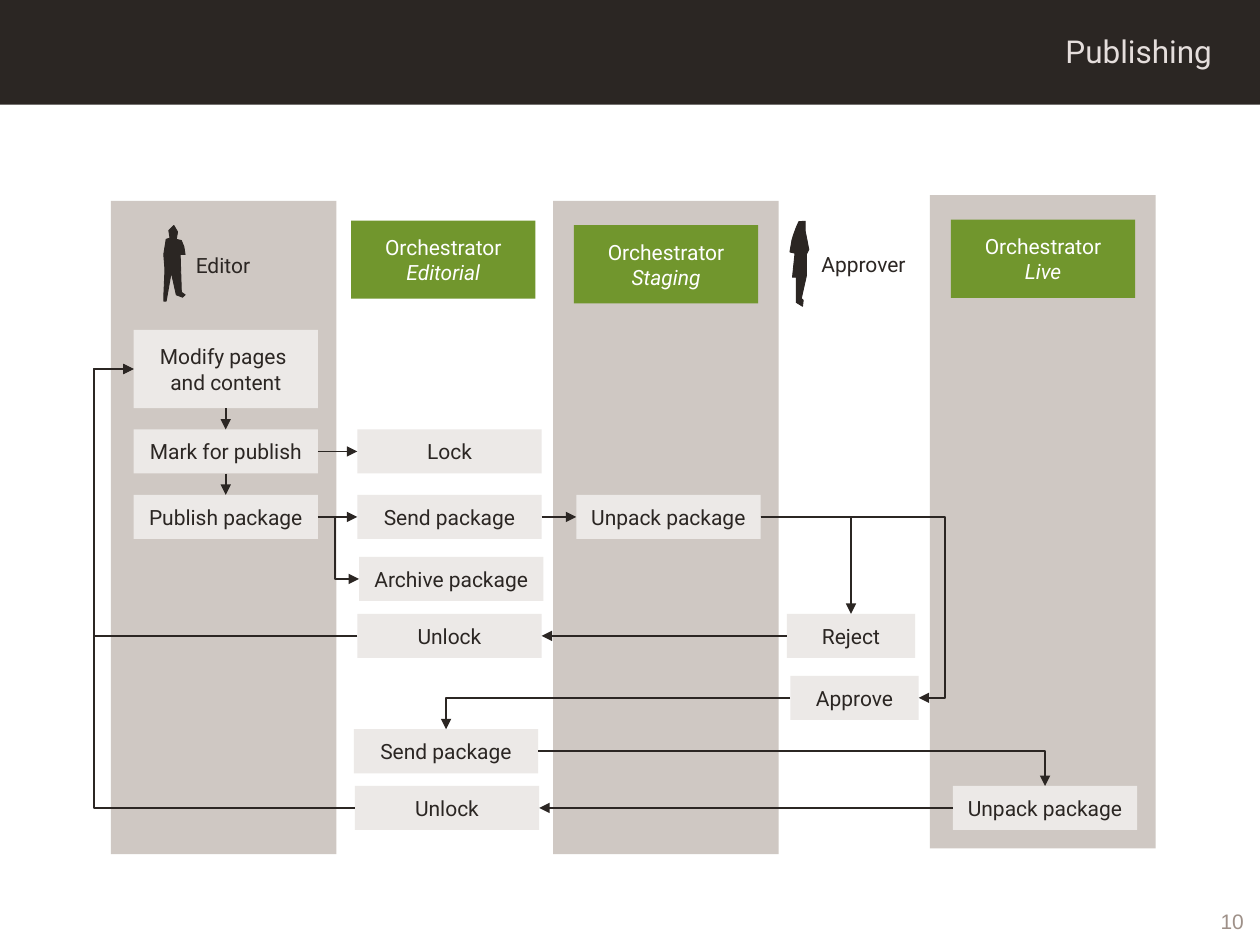
from lxml import etree
from pptx import Presentation
from pptx.dml.color import RGBColor
from pptx.enum.shapes import MSO_CONNECTOR as CONN, MSO_SHAPE as SHAPE
from pptx.enum.text import MSO_ANCHOR as ANCHOR, PP_ALIGN as ALIGN
from pptx.oxml.ns import qn
from pptx.util import Pt

COLORS = {k: RGBColor.from_string(v) for k, v in {
    "dark": "2B2623", "title": "E5DEDC", "lane": "CFC8C3", "step": "ECE9E7",
    "green": "71962D", "white": "FFFFFF", "number": "9E9088"}.items()}

prs = Presentation()
prs.slide_width, prs.slide_height = Pt(720), Pt(540)
s = prs.slides.add_slide(prs.slide_layouts[5])


def add_box(x, y, w, h, fill, lines=(), color="dark"):
    sp = s.shapes.add_shape(SHAPE.RECTANGLE, Pt(x), Pt(y), Pt(w), Pt(h))
    sp.shadow.inherit = False
    sp.fill.solid()
    sp.fill.fore_color.rgb = COLORS[fill]
    sp.line.fill.background()
    tf = sp.text_frame
    tf.word_wrap = False
    tf.vertical_anchor = ANCHOR.MIDDLE
    for i, line in enumerate(lines):
        p = tf.paragraphs[0] if i == 0 else tf.add_paragraph()
        p.text = line
        p.alignment = ALIGN.CENTER
        p.font.name, p.font.size = "Roboto", Pt(12)
        p.font.color.rgb = COLORS[color]
        p.font.italic = fill == "green" and i == 1
    return sp


def add_arrow(x1, y1, x2, y2, turn=None):
    """Arrow; with turn, an elbow whose vertical part is at that x."""
    kind = CONN.STRAIGHT if turn is None else CONN.ELBOW
    c = s.shapes.add_connector(kind, Pt(x1), Pt(y1), Pt(x2), Pt(y2))
    c.line.color.rgb = COLORS["dark"]
    c.line.width = Pt(1)
    sppr = c.line._get_or_add_ln().getparent()
    etree.SubElement(sppr.find(qn("a:ln")), qn("a:tailEnd"), type="triangle")
    etree.SubElement(sppr, qn("a:effectLst"))
    geom = sppr.find(qn("a:prstGeom"))
    if turn == x2:
        geom.set("prst", "bentConnector2")
    elif turn is not None:
        adj = round((turn - x1) / (x2 - x1) * 100000)
        av = geom.find(qn("a:avLst"))
        if av is None:
            av = etree.SubElement(geom, qn("a:avLst"))
        etree.SubElement(av, qn("a:gd"), name="adj1", fmla=f"val {adj}")


# Header band, placed behind the title
band = add_box(0, 0, 720, 59.8, "dark")
title = s.shapes.title
title._element.addprevious(band._element)
title.left, title.top, title.width, title.height = Pt(206.6), Pt(14.4), Pt(493.2), Pt(28.8)
tf = title.text_frame
tf.text = "Publishing"
tf.vertical_anchor = ANCHOR.TOP
p = tf.paragraphs[0]
p.alignment = ALIGN.RIGHT
p.font.name, p.font.size = "Roboto", Pt(18)
p.font.color.rgb = COLORS["title"]

# Lanes
for x, y in [(63.3, 114.8), (316, 114.8), (531.4, 111.5)]:
    add_box(x, y, 129, 373.3, "lane")

# Orchestrator heads
for x, y, stage in [(200.7, 126, "Editorial"), (328, 128.7, "Staging"), (543.4, 125.5, "Live")]:
    add_box(x, y, 105.3, 44.7, "green", ["Orchestrator", stage], "white")

# Roles: silhouettes
editor = [(93.6, 172.1), (95, 172.1), (97.9, 155.5), (100.8, 168.5), (104.4, 169.9),
          (105.8, 168.5), (103.7, 167), (103, 145.4), (105.8, 145.4), (105.1, 141),
          (103.7, 137.5), (100.8, 136.8), (101.5, 132.5), (99.4, 128.9), (96.5, 131.8),
          (97.2, 136.1), (95, 136.8), (93.6, 145.4), (94.3, 154.1), (93.6, 169.9)]
approver = [(458.6, 175), (455, 172.8), (455, 158.4), (452.9, 158.4), (454.3, 144.7),
            (451.4, 144), (452.6, 137), (453.6, 133.9), (455, 130), (456.5, 126.7),
            (460.1, 126.4), (460.1, 131.8), (462.2, 142.6), (460.8, 145.4),
            (460.8, 157.7), (457.9, 170.6), (459, 171.5)]
for outline in (editor, approver):
    points = [(Pt(x), Pt(y)) for x, y in outline]
    fb = s.shapes.build_freeform(*points[0])
    fb.add_line_segments(points[1:], close=True)
    sp = fb.convert_to_shape()
    sp.shadow.inherit = False
    sp.fill.solid()
    sp.fill.fore_color.rgb = sp.line.color.rgb = COLORS["dark"]
    sp.line.width = Pt(0.5)

# Role names and page number
for x, y, w, h, text, font, color, align in [
        (104.8, 140.6, 46, 21.6, "Editor", "Roboto", "dark", ALIGN.LEFT),
        (462.3, 140.2, 62.6, 21.6, "Approver", "Roboto", "dark", ALIGN.LEFT),
        (586.1, 516.5, 131.8, 20.2, "10", "Arial", "number", ALIGN.RIGHT)]:
    tf = s.shapes.add_textbox(Pt(x), Pt(y), Pt(w), Pt(h)).text_frame
    tf.word_wrap = text == "10"
    tf.vertical_anchor = ANCHOR.MIDDLE
    p = tf.paragraphs[0]
    p.text, p.alignment = text, align
    p.font.name, p.font.size = font, Pt(12)
    p.font.color.rgb = COLORS[color]

# Steps: left, middle height, width, text
add_box(76.4, 188.5, 105.3, 44.7, "step", ["Modify pages ", "and content"])
STEP_H = 25.2
for x, mid, w, text in [
        (76.4, 258, 105.3, "Mark for publish"), (76.4, 295.4, 105.3, "Publish package"),
        (204.2, 258, 105.3, "Lock"), (204.2, 295.4, 105.3, "Send package"),
        (205.2, 330.8, 105.3, "Archive package"), (204.2, 363.4, 105.3, "Unlock"),
        (202.2, 429.3, 105.3, "Send package"), (202.8, 461.7, 105.3, "Unlock"),
        (329.3, 295.4, 105.3, "Unpack package"), (544.5, 461.7, 105.3, "Unpack package"),
        (449.6, 363.4, 73.4, "Reject"), (451.6, 398.8, 73.4, "Approve")]:
    add_box(x, mid - STEP_H / 2, w, STEP_H, "step", [text])

# Straight arrows
for ends in [(129, 233.2, 129, 245.4), (129, 270.6, 129, 282.8),
             (181.7, 258, 204.2, 258), (181.7, 295.4, 204.2, 295.4),
             (309.5, 295.4, 329.3, 295.4), (449.6, 363.4, 309.5, 363.4),
             (544.5, 461.7, 308.1, 461.7)]:
    add_arrow(*ends)

# Elbow arrows, the last number being the x of the vertical part
for ends in [(191.5, 295.4, 205.2, 330.8, 191.5), (434.6, 295.4, 486.3, 350.8, 486.3),
             (434.6, 295.4, 525, 398.8, 540.2), (451.6, 398.8, 254.9, 416.7, 254.9),
             (307.5, 429.3, 597.2, 449.1, 597.2), (204.2, 363.4, 76.4, 210.9, 53.7),
             (202.8, 461.7, 76.4, 210.9, 53.7)]:
    add_arrow(*ends)

prs.save("out.pptx")
